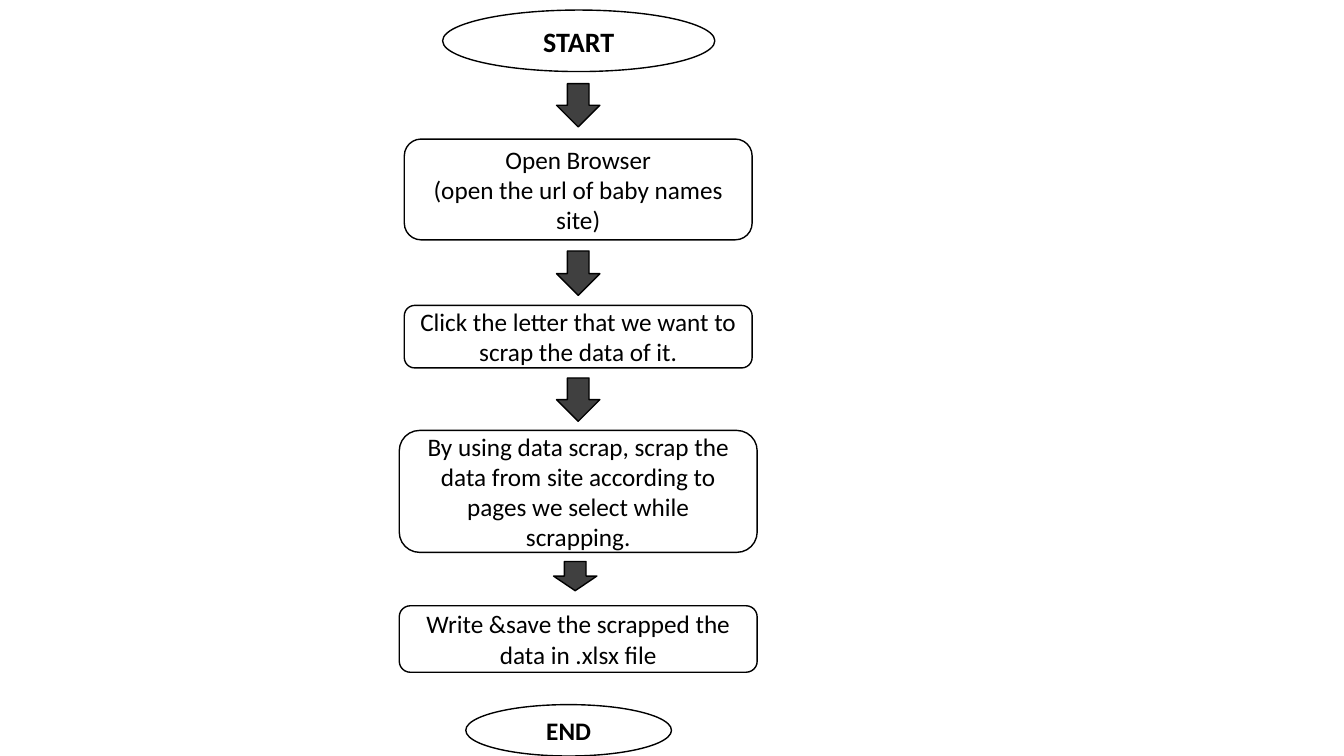
from pptx import Presentation
from pptx.dml.color import RGBColor
from pptx.enum.shapes import MSO_SHAPE
from pptx.enum.text import MSO_ANCHOR, PP_ALIGN
from pptx.util import Emu, Pt

OVAL = MSO_SHAPE.OVAL
ROUND = MSO_SHAPE.ROUNDED_RECTANGLE
DOWN = MSO_SHAPE.DOWN_ARROW
MIDDLE = MSO_ANCHOR.MIDDLE
CENTER = PP_ALIGN.CENTER

BLACK = RGBColor(0x00, 0x00, 0x00)
WHITE = RGBColor(0xFF, 0xFF, 0xFF)
GREY = RGBColor(0x40, 0x40, 0x40)

SCALE = 9144  # EMU per px, 100 px to the inch
BLANK = 6


class Chart:
    """Draws flowchart parts on one slide in one style."""

    font = {"name": "Calibri", "size": Pt(18), "bold": False}

    def __init__(self, slide):
        self.slide = slide

    def shape(self, kind, box, fill):
        item = self.slide.shapes.add_shape(kind, *(Emu(n * SCALE) for n in box))
        item.shadow.inherit = False
        item.fill.solid()
        item.fill.fore_color.rgb = fill
        item.line.color.rgb = BLACK
        item.line.width = Pt(1)
        return item

    def text(self, item, lines, **style):
        frame = item.text_frame
        frame.word_wrap = True
        frame.vertical_anchor = MIDDLE
        frame.text = "\n".join(lines)
        for para in frame.paragraphs:
            para.alignment = CENTER
            for run in para.runs:
                run.font.color.rgb = BLACK
                for key, value in {**self.font, **style}.items():
                    setattr(run.font, key, value)

    def end(self, box, label, size):
        self.text(self.shape(OVAL, box, WHITE), [label], size=Pt(size), bold=True)

    def step(self, box, *lines):
        self.text(self.shape(ROUND, box, WHITE), lines)

    def arrow(self, left, top, high):
        self.shape(DOWN, (left, top, 43, high), GREY)


def main():
    deck = Presentation()
    deck.slide_width = Emu(1333 * SCALE)
    deck.slide_height = Emu(750 * SCALE)
    flow = Chart(deck.slides.add_slide(deck.slide_layouts[BLANK]))

    # Start and end
    flow.end((439, 10, 270, 61), "START", 20)
    flow.end((462, 699, 204, 51), "END", 18)

    # Steps
    flow.step((401, 138, 345, 100), "Open Browser",
              "(open the url of baby names site)")
    flow.step((401, 303, 345, 62),
              "Click the letter that we want to scrap the data of it.")
    flow.step((396, 427, 355, 121),
              "By using data scrap, scrap the data from site "
              "according to pages we select while scrapping.")
    flow.step((396, 601, 355, 66),
              "Write &save the scrapped the data in .xlsx file")

    # Arrows between the steps
    for left, top, high in ((552, 83, 43), (552, 249, 44),
                            (552, 375, 43), (549, 557, 29)):
        flow.arrow(left, top, high)

    deck.save("out.pptx")


if __name__ == "__main__":
    main()
